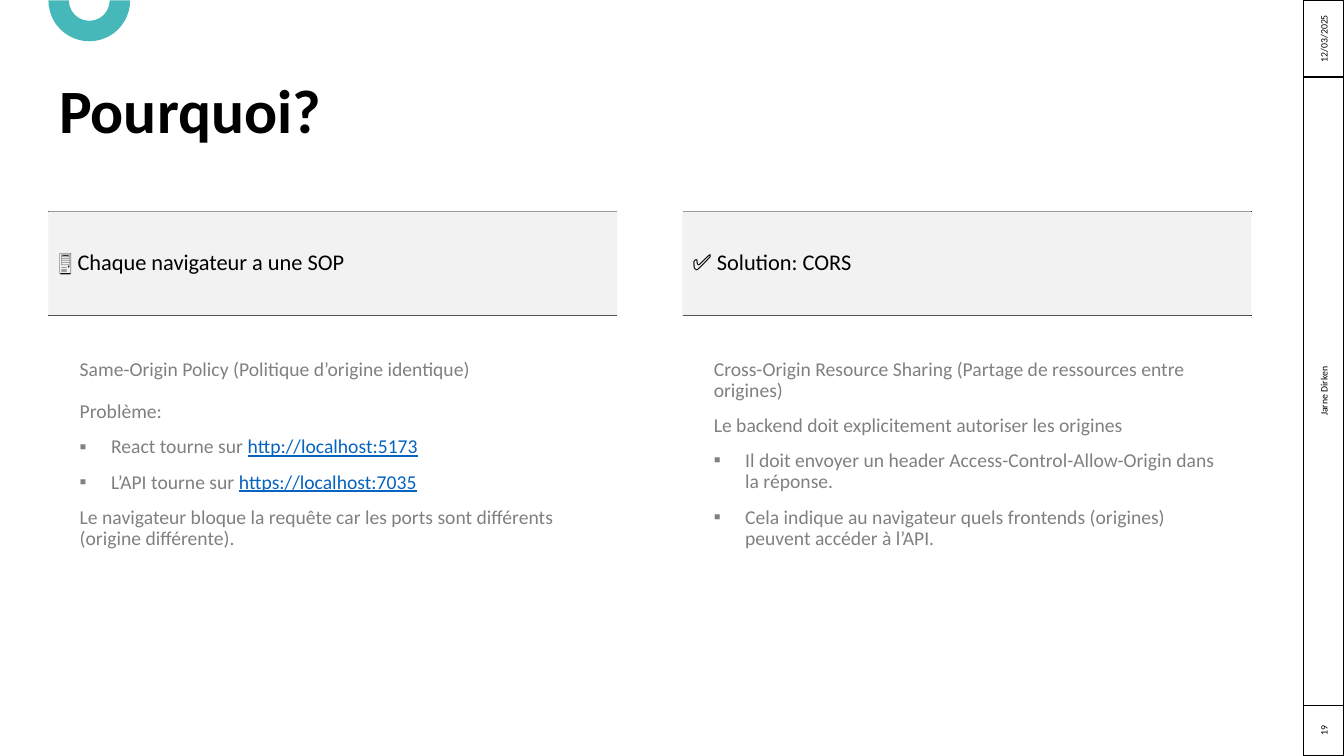
from lxml import etree
from pptx import Presentation
from pptx import util as u
from pptx.dml.color import RGBColor
from pptx.enum import shapes, text
from pptx.oxml import ns

BLACK = RGBColor(0x00, 0x00, 0x00)
GREY = RGBColor(0x80, 0x80, 0x80)
PALE = RGBColor(0xF2, 0xF2, 0xF2)
TEAL = RGBColor(0x47, 0xB8, 0xBA)
LINK = RGBColor(0x05, 0x63, 0xC1)

COLUMN_WIDTH = 14.34
COLUMNS = [
    (1.22, "🖥️ Chaque navigateur a une SOP", [
        ("Same-Origin Policy (Politique d’origine identique)", {}),
        ("Problème:", {"before": 15.4}),
        ("React tourne sur ", {"bullet": True, "link": "http://localhost:5173"}),
        ("L’API tourne sur ", {"bullet": True, "link": "https://localhost:7035"}),
        ("Le navigateur bloque la requête car les ports sont différents "
         "(origine différente).", {}),
    ]),
    (17.2, "✅ Solution: CORS", [
        ("Cross-Origin Resource Sharing (Partage de ressources entre origines)", {}),
        ("Le backend doit explicitement autoriser les origines", {}),
        ("Il doit envoyer un header Access-Control-Allow-Origin dans la réponse.",
         {"bullet": True}),
        ("Cela indique au navigateur quels frontends (origines) peuvent accéder à l’API.",
         {"bullet": True}),
    ]),
]
SIDEBAR_CENTRE = 33.36
SIDEBAR_WIDTH = 1.02
SIDEBAR = [("12/03/2025", 1.94), ("Jarne Dirken", 15.84), ("19", 1.27)]


class SlideBuilder:
    """Draw styled elements on one slide."""

    def __init__(self, page, font="Calibri"):
        self.page = page
        self.font = font

    def style(self, para, size, color, bold=False):
        for span in para.runs:
            span.font.name = self.font
            span.font.size = u.Pt(size)
            span.font.bold = bold
            span.font.color.rgb = color

    def rule(self, left, top, width):
        line = self.page.shapes.add_connector(
            shapes.MSO_CONNECTOR.STRAIGHT,
            u.Cm(left), u.Cm(top), u.Cm(left + width), u.Cm(top))
        line.line.color.rgb = BLACK
        line.line.width = u.Pt(0.5)
        etree.SubElement(line._element.spPr, ns.qn("a:effectLst"))

    def shape(self, kind, left, top, width, height, fill=None, border=None):
        shape = self.page.shapes.add_shape(
            kind, u.Cm(left), u.Cm(top), u.Cm(width), u.Cm(height))
        shape.shadow.inherit = False
        if fill is None:
            shape.fill.background()
        else:
            shape.fill.solid()
            shape.fill.fore_color.rgb = fill
        if border is None:
            shape.line.fill.background()
        else:
            shape.line.color.rgb = BLACK
            shape.line.width = u.Pt(border)
        return shape

    def label(self, box, wording, size, align, bold=False, spacing=0.9):
        frame = box.text_frame
        frame.word_wrap = True
        frame.vertical_anchor = text.MSO_ANCHOR.MIDDLE
        frame.text = wording
        para = frame.paragraphs[0]
        para.alignment = align
        para.line_spacing = spacing
        self.style(para, size, BLACK, bold)

    def text_box(self, left, top, width, height):
        return self.page.shapes.add_textbox(
            u.Cm(left), u.Cm(top), u.Cm(width), u.Cm(height))

    def bullet(self, para):
        props = para._p.get_or_add_pPr()
        props.set("marL", str(u.Cm(0.79)))
        props.set("indent", str(-u.Cm(0.79)))
        etree.SubElement(props, ns.qn("a:buFont"), typeface="Wingdings")
        etree.SubElement(props, ns.qn("a:buChar"), char="▪")
        props.find(ns.qn("a:buFont")).set("typeface", self.font)

    def body(self, left, top, width, height, items):
        frame = self.text_box(left, top, width, height).text_frame
        frame.word_wrap = True
        frame.margin_left = frame.margin_right = frame.margin_top = u.Cm(0.79)
        for index, (wording, options) in enumerate(items):
            para = frame.add_paragraph() if index else frame.paragraphs[0]
            para.text = wording
            para.line_spacing = 0.9
            if index:
                para.space_before = u.Pt(options.get("before", 10))
            if options.get("bullet"):
                self.bullet(para)
            self.style(para, 14, GREY)
            if "link" in options:
                span = para.add_run()
                span.text = options["link"]
                span.font.name = self.font
                span.font.size = u.Pt(14)
                span.font.underline = True
                span.font.color.rgb = LINK

    def side_cell(self, top, length, wording):
        cell = self.shape(
            shapes.MSO_SHAPE.RECTANGLE, SIDEBAR_CENTRE - length / 2,
            top + (length - SIDEBAR_WIDTH) / 2, length, SIDEBAR_WIDTH, border=0.75)
        cell.rotation = 270
        self.label(cell, wording, 7, text.PP_ALIGN.CENTER, spacing=1.0)


def main():
    deck = Presentation()
    deck.slide_width, deck.slide_height = u.Cm(33.87), u.Cm(19.05)
    builder = SlideBuilder(deck.slides.add_slide(deck.slide_layouts[6]))

    for left, _, _ in COLUMNS:
        for top in (5.32, 7.95):
            builder.rule(left, top, COLUMN_WIDTH)
    arc = builder.shape(shapes.MSO_SHAPE.BLOCK_ARC, 1.22, -1.02, 2.06, 2.06, TEAL)
    arc.rotation = 180

    title = builder.text_box(1.24, 1.02, 30.3, 3.68)
    builder.label(title, "Pourquoi?", 44, text.PP_ALIGN.LEFT, bold=True)
    for left, heading, items in COLUMNS:
        band = builder.shape(
            shapes.MSO_SHAPE.RECTANGLE, left, 5.33, COLUMN_WIDTH, 2.62, PALE)
        builder.label(band, heading, 16, text.PP_ALIGN.LEFT)
        builder.body(left, 8.26, COLUMN_WIDTH, 9.5, items)

    top = 0
    for wording, length in SIDEBAR:
        builder.side_cell(top, length, wording)
        top += length
    deck.save("out.pptx")


if __name__ == "__main__":
    main()
